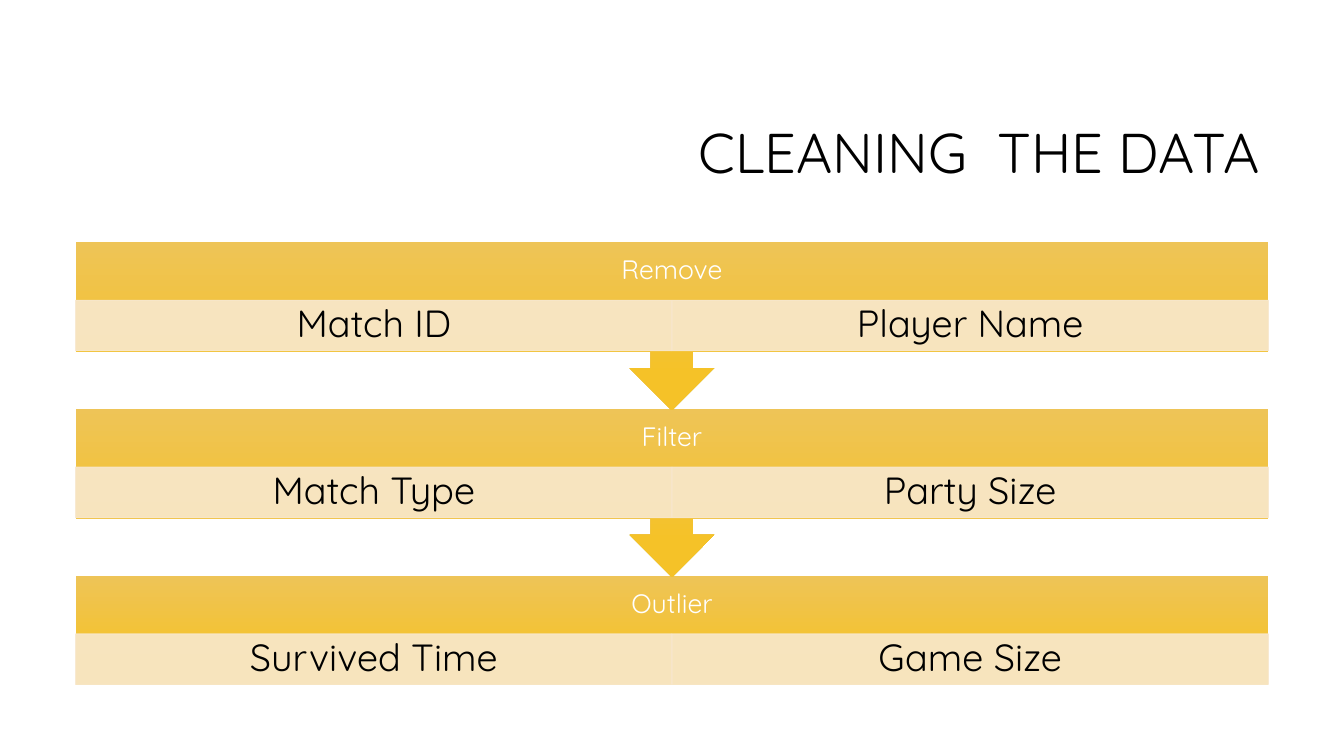
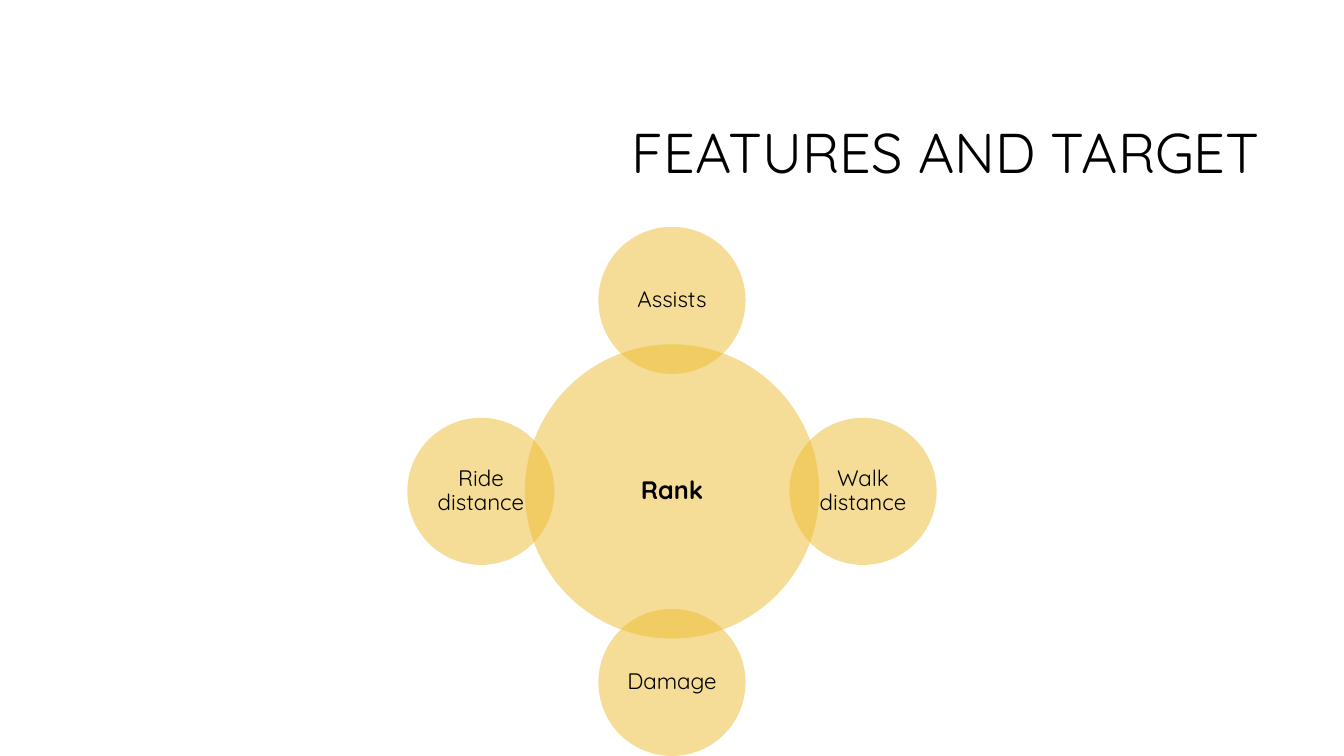
from pptx import Presentation
from pptx.dml.color import RGBColor
from pptx.enum.shapes import MSO_SHAPE
from pptx.enum.text import MSO_ANCHOR, PP_ALIGN
from pptx.oxml.ns import qn
from pptx.util import Inches, Pt
from lxml import etree

RECTANGLE = MSO_SHAPE.RECTANGLE
CALLOUT = MSO_SHAPE.DOWN_ARROW_CALLOUT
OVAL = MSO_SHAPE.OVAL
MIDDLE = MSO_ANCHOR.MIDDLE
CENTER, RIGHT = PP_ALIGN.CENTER, PP_ALIGN.RIGHT

FONT = "Quicksand"
COLORS = {
    "text": "000000",
    "step_text": "FFFFFF",
    "step_top": "EEC457",
    "step_bottom": "F5C228",
    "detail": "F8E8CE",
    "circle": "ECBD31",
}
SLIDE_W, SLIDE_H = 13.33, 7.5
TITLE_BOX = (3.17, 0.84, 9.42, 1.41)

STEPS = [
    ("Remove", ["Match ID", "Player Name"]),
    ("Filter", ["Match Type", "Party Size"]),
    ("Outlier", ["Survived Time", "Game Size"]),
]
TARGET = "Rank"
FEATURES = [  # text, direction from the target
    ("Assists", (0, -1)),
    ("Walk distance", (1, 0)),
    ("Damage", (0, 1)),
    ("Ride distance", (-1, 0)),
]


def rgb(name):
    return RGBColor.from_string(COLORS[name])


def set_solid(fill, color, opacity):
    """Fill with a colour, opacity in percent."""
    fill.solid()
    fill.fore_color.rgb = rgb(color)
    for node in fill._xPr.iter(qn("a:srgbClr")):
        etree.SubElement(node, qn("a:alpha"), val=str(opacity * 1000))


def set_text(shape, text, size, color="text", align=CENTER, margins=None, bold=False):
    """Write one paragraph; margins are left, top, right, bottom in inches."""
    frame = shape.text_frame
    frame.word_wrap = True
    frame.vertical_anchor = MIDDLE
    if margins:
        (frame.margin_left, frame.margin_top,
         frame.margin_right, frame.margin_bottom) = map(Inches, margins)
    paragraph = frame.paragraphs[0]
    paragraph.text = text
    paragraph.alignment = align
    paragraph.line_spacing = 0.9
    font = paragraph.font
    font.name, font.size, font.bold = FONT, Pt(size), bold
    font.color.rgb = rgb(color)


def add_shape(slide, kind, box):
    shape = slide.shapes.add_shape(kind, *map(Inches, box))
    shape.shadow.inherit = False
    shape.line.fill.background()
    return shape


def add_titled_slide(prs, title):
    slide = prs.slides.add_slide(prs.slide_layouts[6])
    title_box = slide.shapes.add_textbox(*map(Inches, TITLE_BOX))
    set_text(title_box, title, 40, align=RIGHT)
    return slide


def add_step(slide, box, body_h, heading, details):
    """Draw a step; a box taller than its body ends in an arrow."""
    left, top, width, height = box
    heading_h, detail_h, pad = 0.59, 0.5, 0.15
    step = add_shape(slide, CALLOUT if height > body_h else RECTANGLE, box)
    step.fill.gradient()
    step.fill.gradient_angle = 270
    stops = step.fill.gradient_stops
    for stop, position, color in zip(stops, (0, 0.78), ("step_top", "step_bottom")):
        stop.position = position
        stop.color.rgb = rgb(color)
    set_text(step, heading, 19, "step_text",
             margins=(pad, pad, pad, body_h - heading_h + pad))

    detail_w = width / len(details)
    for i, text in enumerate(details):
        detail = add_shape(slide, RECTANGLE,
                           (left + i * detail_w, top + 0.58, detail_w, detail_h))
        set_solid(detail.fill, "detail", 90)
        set_solid(detail.line.fill, "detail", 90)
        detail.line.width = Pt(0.75)
        set_text(detail, text, 27, margins=(0.21, 0.04, 0.21, 0.04))


def add_process(slide, box, steps):
    """Stack the steps from the bottom up, so each arrow lies over the next step."""
    left, top, width, height = box
    body_h, arrow_step_h = 1.09, 1.67
    pitch = (height - body_h) / (len(steps) - 1)
    last = len(steps) - 1
    for i in range(last, -1, -1):
        step_h = body_h if i == last else arrow_step_h
        add_step(slide, (left, top + i * pitch, width, step_h), body_h, *steps[i])


def add_circle(slide, center, diameter, text, size, margin, bold=False):
    x, y = center
    circle = add_shape(slide, OVAL,
                       (x - diameter / 2, y - diameter / 2, diameter, diameter))
    set_solid(circle.fill, "circle", 50)
    set_text(circle, text, size, margins=(margin,) * 4, bold=bold)


def add_radial(slide, box, target, features):
    """Draw the target in the middle of a square box, the features at its edges."""
    left, top, side = box
    x, y = left + side / 2, top + side / 2
    feature_d = 1.46
    orbit = (side - feature_d) / 2
    add_circle(slide, (x, y), 2 * feature_d, target, 18, 0.03, bold=True)
    for text, (dx, dy) in features:
        add_circle(slide, (x + dx * orbit, y + dy * orbit), feature_d, text, 16, 0.02)


def main():
    prs = Presentation()
    prs.slide_width, prs.slide_height = Inches(SLIDE_W), Inches(SLIDE_H)
    cleaning = add_titled_slide(prs, "CLEANING  THE DATA")
    add_process(cleaning, (0.75, 2.4, 11.83, 4.4), STEPS)
    features = add_titled_slide(prs, "FEATURES AND TARGET")
    add_radial(features, (4.04, 2.25, 5.25), TARGET, FEATURES)
    prs.save("out.pptx")


if __name__ == "__main__":
    main()
